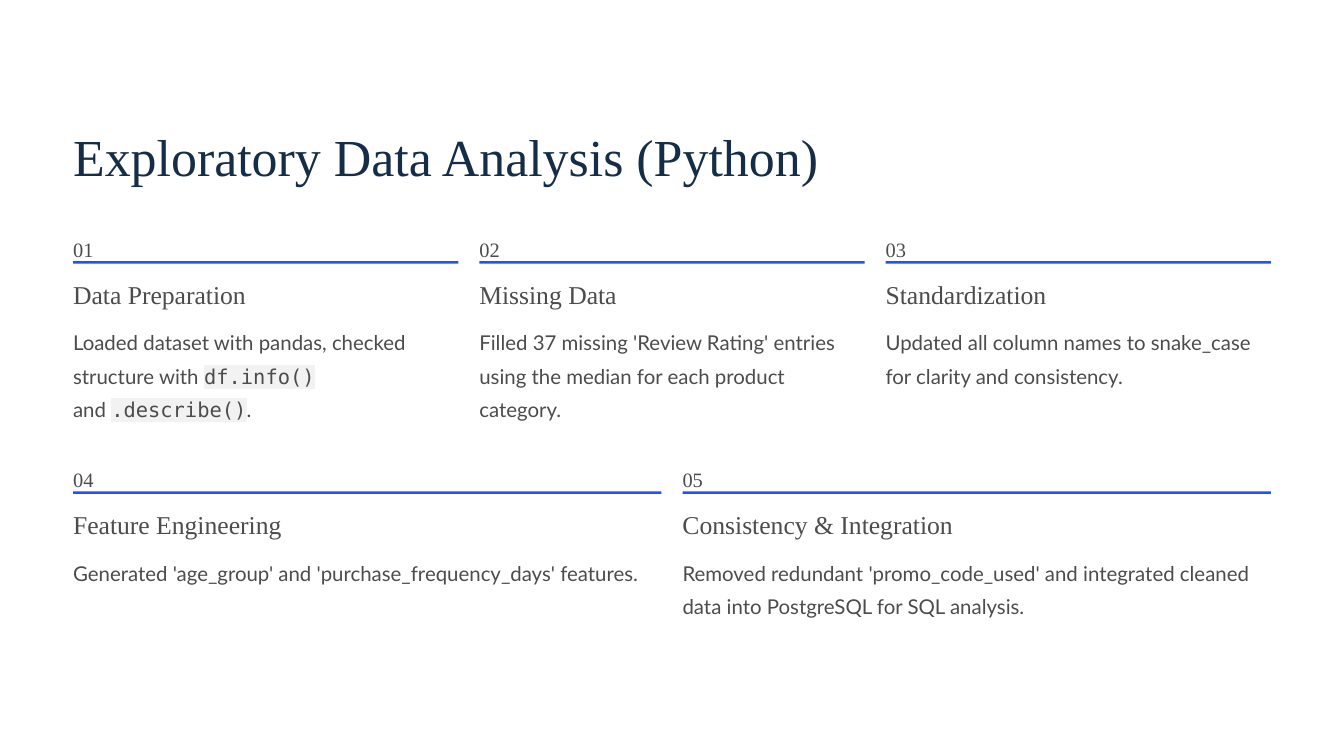
import pptx
import pptx.dml.color
import pptx.enum.shapes
import pptx.enum.text
import pptx.oxml
import pptx.oxml.ns
import pptx.util

RGBColor = pptx.dml.color.RGBColor
WHITE = RGBColor(0xFF, 0xFF, 0xFF)
NAVY = RGBColor(0x15, 0x2D, 0x47)
GREY = RGBColor(0x4C, 0x4C, 0x4D)
BLUE = RGBColor(0x21, 0x50, 0xFE)
CODE_FILL = RGBColor(0xF2, 0xF2, 0xF2)

SERIF, SANS, MONO = "Times New Roman", "Lato", "DejaVu Sans Mono"

STEPS = [
    [
        ("Data Preparation", ["Loaded dataset with pandas, checked structure with ",
                              "df.info()", " and ", ".describe()", "."]),
        ("Missing Data", ["Filled 37 missing 'Review Rating' entries using the median "
                          "for each product category."]),
        ("Standardization", ["Updated all column names to snake_case for clarity and "
                             "consistency."]),
    ],
    [
        ("Feature Engineering", ["Generated 'age_group' and 'purchase_frequency_days' "
                                 "features."]),
        ("Consistency & Integration", ["Removed redundant 'promo_code_used' and integrated "
                                       "cleaned data into PostgreSQL for SQL analysis."]),
    ],
]


class StepSlide:
    columns = 6
    margin = 0.87
    gap = 0.25
    top = 2.72
    row_pitch = 2.74

    def __init__(self, prs):
        self.s = prs.slides.add_slide(prs.slide_layouts[6])
        self.s.background.fill.solid()
        self.s.background.fill.fore_color.rgb = WHITE
        self.column = (16 - 2 * self.margin - (self.columns - 1) * self.gap) / self.columns

    def x(self, col):
        return self.margin + col * (self.column + self.gap)

    def width(self, span):
        return span * (self.column + self.gap) - self.gap

    def text(self, box, parts, size, line, font=SERIF, color=GREY, wrap=False):
        tf = self.s.shapes.add_textbox(*map(pptx.util.Inches, box)).text_frame
        tf.margin_left = tf.margin_right = tf.margin_top = tf.margin_bottom = 0
        tf.word_wrap = wrap
        tf.vertical_anchor = pptx.enum.text.MSO_ANCHOR.TOP
        p = tf.paragraphs[0]
        p.line_spacing = pptx.util.Pt(line)
        for i, part in enumerate(parts):
            is_code = i % 2 == 1
            r = p.add_run()
            r.text = part
            r.font.size = pptx.util.Pt(size)
            r.font.color.rgb = color
            if is_code:
                self.highlight(r)
            r.font.name = MONO if is_code else font

    def highlight(self, r):
        ns = pptx.oxml.ns.nsdecls("a")
        r.font.fill._xPr.append(pptx.oxml.parse_xml(
            f'<a:highlight {ns}><a:srgbClr val="{CODE_FILL}"/></a:highlight>'))

    def rule(self, x, y, w):
        sp = self.s.shapes.add_shape(pptx.enum.shapes.MSO_SHAPE.RECTANGLE,
                                     *map(pptx.util.Inches, (x, y, w, 0.03)))
        sp.shadow.inherit = False
        sp.fill.solid()
        sp.fill.fore_color.rgb = BLUE
        sp.line.fill.background()

    def title(self, text):
        self.text((self.margin, 1.45, 9.09, 0.78), [text], 44.5, 55.5, color=NAVY)

    def step(self, number, row, col, span, heading, body):
        x, w = self.x(col), self.width(span)
        y = self.top + row * self.row_pitch
        self.text((x, y, 0.25, 0.31), [f"{number:02d}"], 17.5, 28.5)
        self.rule(x, y + 0.39, w)
        self.text((x, y + 0.58, 3.36, 0.39), [heading], 22, 27.5)
        self.text((x, y + 1.11, w, 0.79), body, 17.5, 28.5, font=SANS, wrap=True)


def main():
    prs = pptx.Presentation()
    prs.slide_width = pptx.util.Inches(16)
    prs.slide_height = pptx.util.Inches(9)
    slide = StepSlide(prs)
    slide.title("Exploratory Data Analysis (Python)")
    number = 1
    for row, steps in enumerate(STEPS):
        span = slide.columns // len(steps)
        for i, (heading, body) in enumerate(steps):
            slide.step(number, row, i * span, span, heading, body)
            number += 1
    prs.save("out.pptx")


if __name__ == "__main__":
    main()
